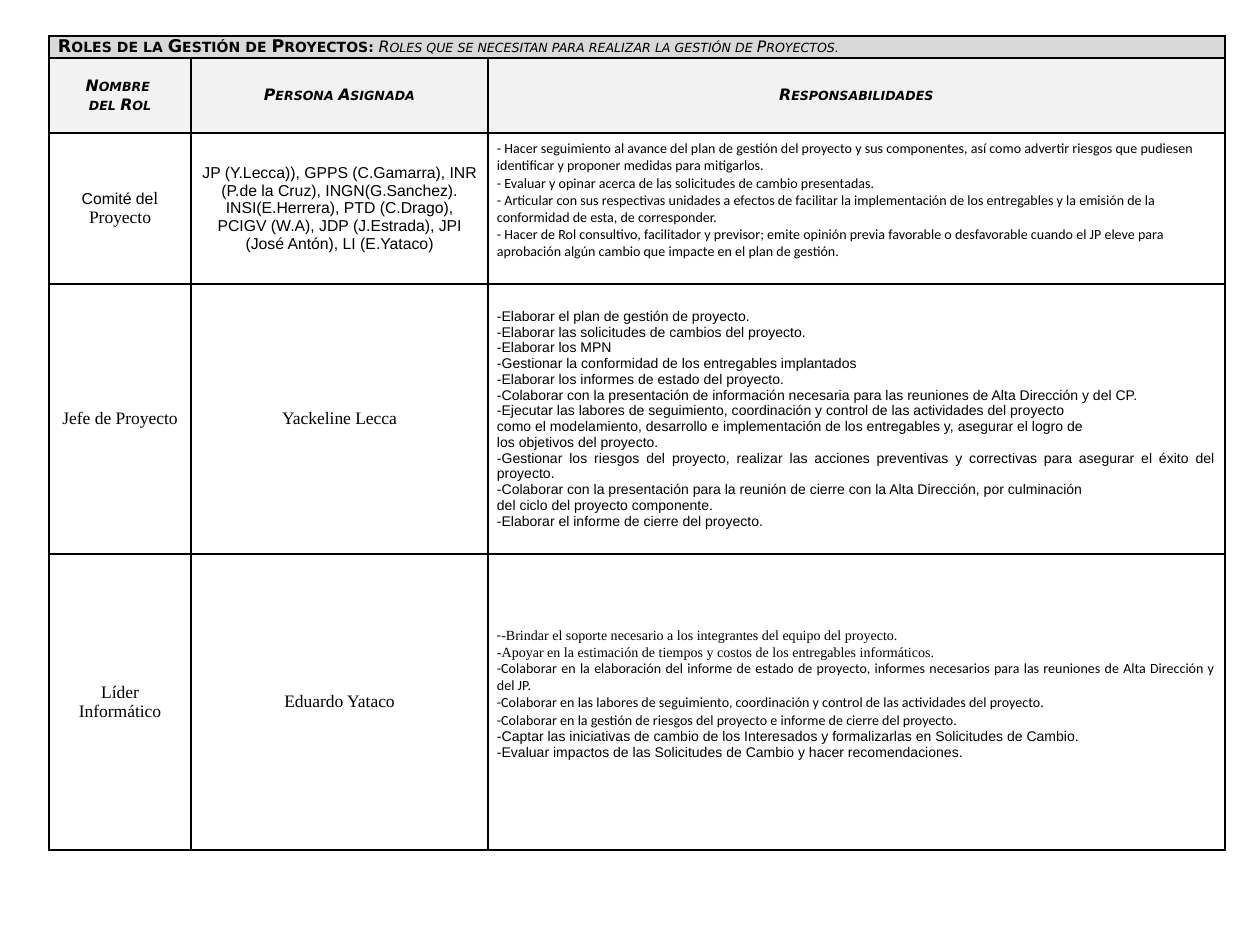
import dataclasses
import typing

import pptx
import pptx.dml.color
import pptx.enum.text
import pptx.oxml
import pptx.oxml.ns
import pptx.util

PIXEL = 914400 // 126
COLORS = {"ink": "000000", "title": "D9D9D9", "header": "F2F2F2", "body": "FFFFFF"}
CENTER = pptx.enum.text.PP_ALIGN.CENTER
JUSTIFY = pptx.enum.text.PP_ALIGN.JUSTIFY
LEFT = pptx.enum.text.PP_ALIGN.LEFT


@dataclasses.dataclass(frozen=True)
class Style:
    """Character formatting of a run."""
    font: str
    size: float
    bold: bool = False
    italic: bool = False
    small_caps: bool = False


class Run(typing.NamedTuple):
    """A stretch of text in one style."""
    text: str
    style: Style


@dataclasses.dataclass(frozen=True)
class Content:
    """Paragraphs of one cell, with its fill and spare room below."""
    paragraphs: list[list[Run]]
    align: pptx.enum.text.PP_ALIGN = CENTER
    fill: str = "body"
    bottom: int = 0


TITLE = Style("DejaVu Sans", 10, bold=True, small_caps=True)
TITLE_GAP = Style("DejaVu Sans", 9, bold=True, small_caps=True)
SUBTITLE = Style("DejaVu Sans", 9, italic=True, small_caps=True)
SUBTITLE_END = Style("DejaVu Sans", 8, italic=True, small_caps=True)
HEADER = Style("DejaVu Sans", 9, bold=True, italic=True, small_caps=True)
NAME = Style("Times New Roman", 10)
MEMBERS = Style("Arial", 9)
ARIAL = Style("Arial", 8)
CALIBRI = Style("Calibri", 8)
TIMES = Style("Times New Roman", 8)


def lines(style: Style, *texts: str) -> list[list[Run]]:
    """Make one single-run paragraph per text."""
    return [[Run(text, style)] for text in texts]


def header(*texts: str) -> Content:
    """Make a column heading."""
    return Content(lines(HEADER, *texts), fill="header")


COMMITTEE_DUTIES = lines(
    CALIBRI,
    "- Hacer seguimiento al avance del plan de gestión del proyecto y sus componentes, así como "
    "advertir riesgos que pudiesen identificar y proponer medidas para mitigarlos.",
    "- Evaluar y opinar acerca de las solicitudes de cambio presentadas.",
    "- Articular con sus respectivas unidades a efectos de facilitar la implementación de los "
    "entregables y la emisión de la conformidad de esta, de corresponder.",
    "- Hacer de Rol consultivo, facilitador y previsor; emite opinión previa favorable o "
    "desfavorable cuando el JP eleve para aprobación algún cambio que impacte en el plan de gestión.",
)
MANAGER_DUTIES = lines(
    ARIAL,
    "-Elaborar el plan de gestión de proyecto.",
    "-Elaborar las solicitudes de cambios del proyecto.",
    "-Elaborar los MPN",
    "-Gestionar la conformidad de los entregables implantados",
    "-Elaborar los informes de estado del proyecto.",
    "-Colaborar con la presentación de información necesaria para las reuniones de Alta Dirección y del CP.",
    "-Ejecutar las labores de seguimiento, coordinación y control de las actividades del proyecto",
    "como el modelamiento, desarrollo e implementación de los entregables y, asegurar el logro de",
    "los objetivos del proyecto.",
    "-Gestionar los riesgos del proyecto, realizar las acciones preventivas y correctivas para "
    "asegurar el éxito del proyecto.",
    "-Colaborar con la presentación para la reunión de cierre con la Alta Dirección, por culminación",
    "del ciclo del proyecto componente.",
    "-Elaborar el informe de cierre del proyecto.",
)
LEADER_DUTIES = [
    [Run("-", CALIBRI),
     Run("-Brindar el soporte necesario a los integrantes del equipo del proyecto.", TIMES)],
    *lines(TIMES, "-Apoyar en la estimación de tiempos y costos de los entregables informáticos."),
    *lines(
        CALIBRI,
        "-Colaborar en la elaboración del informe de estado de proyecto, informes necesarios para "
        "las reuniones de Alta Dirección y del JP. ",
        "-Colaborar en las labores de seguimiento, coordinación y control de las actividades del proyecto. ",
        "-Colaborar en la gestión de riesgos del proyecto e informe de cierre del proyecto. ",
    ),
    *lines(
        ARIAL,
        "-Captar las iniciativas de cambio de los Interesados y formalizarlas en Solicitudes de Cambio.",
        "-Evaluar impactos de las Solicitudes de Cambio y hacer recomendaciones.",
    ),
]
HEADING = [[
    Run("Roles de la Gestión de Proyectos:", TITLE),
    Run(" ", TITLE_GAP),
    Run("Roles que se necesitan para realizar la gestión de Proyectos", SUBTITLE),
    Run(".", SUBTITLE_END),
]]
BLANK = Content([], fill="title")
ROLES = [
    [Content(HEADING, LEFT, "title"), BLANK, BLANK],
    [header("Nombre ", "del Rol"), header("Persona Asignada"), header("Responsabilidades")],
    [Content([[Run("Comité de", MEMBERS), Run("l Proyecto", NAME)]]),
     Content(lines(MEMBERS, "JP (Y.Lecca)), GPPS (C.Gamarra), INR (P.de la Cruz), INGN(G.Sanchez). "
                            "INSI(E.Herrera), PTD (C.Drago), PCIGV (W.A), JDP (J.Estrada), "
                            "JPI (José Antón), LI (E.Yataco)")),
     Content(COMMITTEE_DUTIES, LEFT, bottom=16)],
    [Content(lines(NAME, "Jefe de Proyecto")), Content(lines(NAME, "Yackeline Lecca")),
     Content(MANAGER_DUTIES, JUSTIFY)],
    [Content(lines(NAME, "Líder Informático")), Content(lines(NAME, "Eduardo Yataco")),
     Content(LEADER_DUTIES, JUSTIFY, bottom=16)],
]
COLUMN_WIDTHS = [142, 297, 737]
ROW_HEIGHTS = [22, 75, 151, 270, 296]


def px(length: int) -> pptx.util.Emu:
    """Turn pixels into EMU."""
    return pptx.util.Emu(length * PIXEL)


def rgb(name: str) -> pptx.dml.color.RGBColor:
    """Look up a named colour."""
    return pptx.dml.color.RGBColor.from_string(COLORS[name])


def add_run(paragraph, piece: Run) -> None:
    """Append a styled run to a paragraph."""
    run = paragraph.add_run()
    run.text = piece.text
    run.font.name = piece.style.font
    run.font.size = pptx.util.Pt(piece.style.size)
    run.font.bold = piece.style.bold
    run.font.italic = piece.style.italic
    run.font.color.rgb = rgb("ink")
    if piece.style.small_caps:
        run._r.get_or_add_rPr().set("cap", "small")


def add_borders(cell) -> None:
    """Draw a one-point line on each side of a cell."""
    properties = cell._tc.get_or_add_tcPr()
    for position, side in enumerate(("lnL", "lnR", "lnT", "lnB")):
        properties.insert(position, pptx.oxml.parse_xml(
            f'<a:{side} {pptx.oxml.ns.nsdecls("a")} w="12700"><a:solidFill>'
            f'<a:srgbClr val="{COLORS["ink"]}"/></a:solidFill></a:{side}>'))


def fill_cell(cell, content: Content) -> None:
    """Write the content of a cell and format it."""
    cell.fill.solid()
    cell.fill.fore_color.rgb = rgb(content.fill)
    cell.vertical_anchor = pptx.enum.text.MSO_ANCHOR.MIDDLE
    cell.margin_left = cell.margin_right = px(9)
    cell.margin_top, cell.margin_bottom = px(0), px(content.bottom)
    frame = cell.text_frame
    for index, pieces in enumerate(content.paragraphs):
        paragraph = frame.add_paragraph() if index else frame.paragraphs[0]
        paragraph.alignment = content.align
        for piece in pieces:
            add_run(paragraph, piece)
    add_borders(cell)


def add_roles(slide) -> None:
    """Build the table of project roles."""
    table = slide.shapes.add_table(
        len(ROW_HEIGHTS), len(COLUMN_WIDTHS), px(49), px(36),
        px(sum(COLUMN_WIDTHS)), px(sum(ROW_HEIGHTS))).table
    table.first_row = table.horz_banding = False
    for column, width in zip(table.columns, COLUMN_WIDTHS):
        column.width = px(width)
    for row, height, contents in zip(table.rows, ROW_HEIGHTS, ROLES):
        row.height = px(height)
        for cell, content in zip(row.cells, contents):
            fill_cell(cell, content)
    table.cell(0, 0).merge(table.cell(0, len(COLUMN_WIDTHS) - 1))


deck = pptx.Presentation()
deck.slide_width, deck.slide_height = px(1260), px(945)
add_roles(deck.slides.add_slide(deck.slide_layouts[6]))
deck.save("out.pptx")
